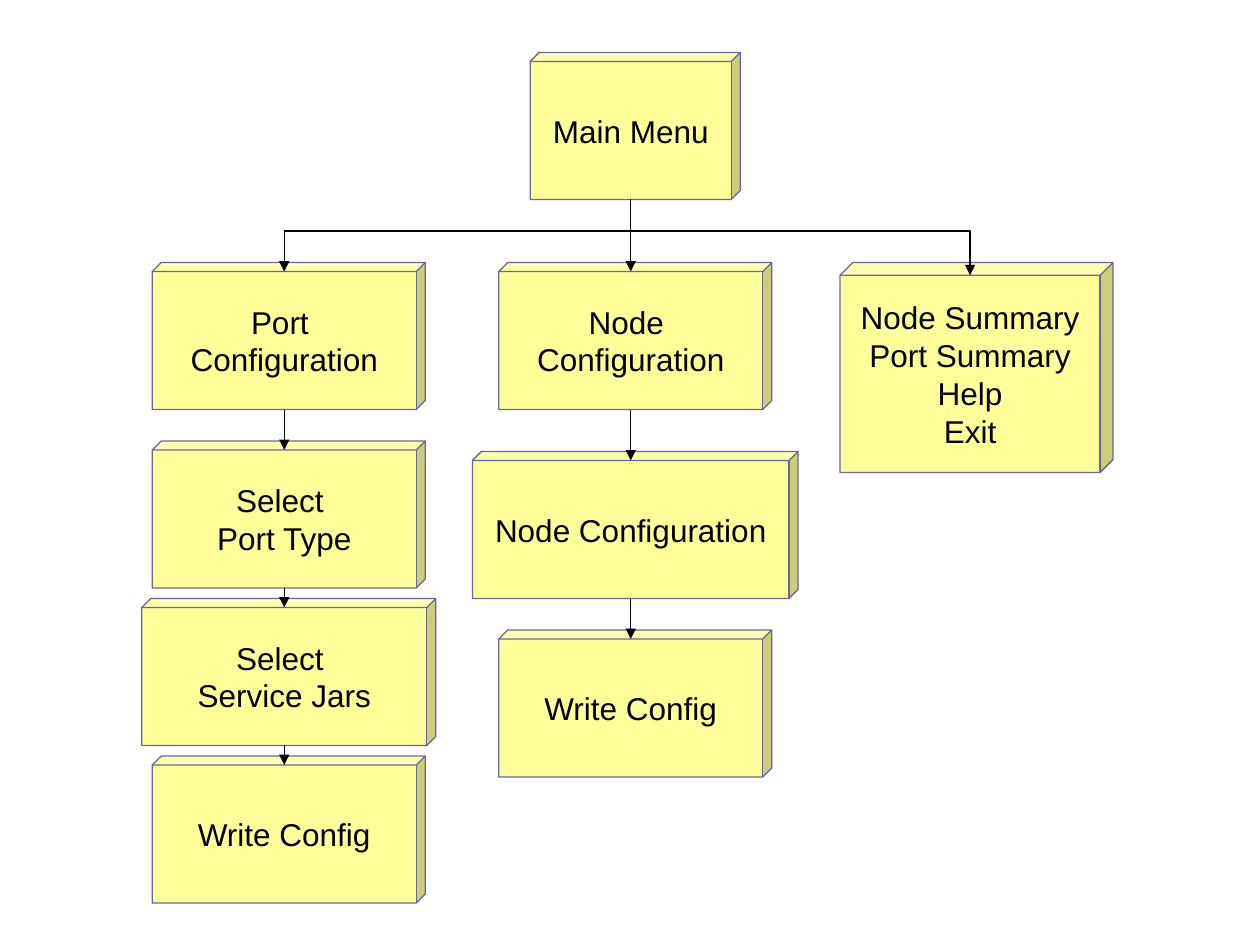
from dataclasses import dataclass

from lxml import etree
from pptx import Presentation
from pptx.dml.color import RGBColor
from pptx.enum import shapes, text
from pptx.oxml import ns
from pptx.util import Pt


@dataclass(frozen=True)
class Theme:
    face: RGBColor = RGBColor(0xFF, 0xFF, 0x99)
    edge: RGBColor = RGBColor(0x66, 0x66, 0x99)
    ink: RGBColor = RGBColor(0, 0, 0)
    font: str = "Arial"
    size: float = 18
    line: float = 0.75
    depth: float = 0.061  # cube depth as a share of its shorter side


THEME = Theme()
CUBE_FRONT_TOP, CUBE_BOTTOM = 1, 3  # connection sites of a cube
BOX_H = 84


def add_cube(slide, label, left, top, width, height=BOX_H):
    sp = slide.shapes.add_shape(shapes.MSO_SHAPE.CUBE, Pt(left), Pt(top), Pt(width), Pt(height))
    sp.adjustments[0] = THEME.depth
    sp.shadow.inherit = False
    sp.fill.solid()
    sp.fill.fore_color.rgb = THEME.face
    sp.line.color.rgb = THEME.edge
    sp.line.width = Pt(THEME.line)
    tf = sp.text_frame
    tf.word_wrap = False
    tf.vertical_anchor = text.MSO_ANCHOR.MIDDLE
    tf.text = label
    for p in tf.paragraphs:
        p.alignment = text.PP_ALIGN.CENTER
        for r in p.runs:
            r.font.name = THEME.font
            r.font.size = Pt(THEME.size)
            r.font.color.rgb = THEME.ink
    return sp


def cube_depth(sp):
    return int(THEME.depth * min(sp.width, sp.height))


def front_middle(sp):
    return sp.left + (sp.width - cube_depth(sp)) // 2


def add_arrow(slide, upper, lower):
    """Arrow from the bottom of one cube to the front top edge of another."""
    x1, y1 = front_middle(upper), upper.top + upper.height
    x2, y2 = front_middle(lower), lower.top + cube_depth(lower)
    dx, dy = x2 - x1, y2 - y1
    bent = abs(dx) > Pt(1)
    kind = shapes.MSO_CONNECTOR.ELBOW if bent else shapes.MSO_CONNECTOR.STRAIGHT
    c = slide.shapes.add_connector(kind, x1, y1, x2, y2)
    c.begin_connect(upper, CUBE_BOTTOM)
    c.end_connect(lower, CUBE_FRONT_TOP)

    # Joining moves the ends to the bounding box, so place them on the front face
    spPr = c._element.spPr
    xfrm = spPr.find(ns.qn("a:xfrm"))
    for name in ("flipH", "flipV"):
        xfrm.attrib.pop(name, None)
    if bent:
        # An elbow that leaves downwards is a quarter-turned one
        c.width, c.height = dy, abs(dx)
        c.left, c.top = (x1 + x2 - dy) // 2, (y1 + y2 - abs(dx)) // 2
        xfrm.set("rot", str((90 if dx < 0 else 270) * 60000))
        if dx > 0:
            xfrm.set("flipH", "1")
        # The bend lies halfway between the two bounding boxes
        bend = (lower.top - y1) / 2 / dy
        av = spPr.find(ns.qn("a:prstGeom")).get_or_add_avLst()
        etree.SubElement(av, ns.qn("a:gd"), name="adj1", fmla=f"val {round(bend * 100000)}")
    else:
        c.left, c.top, c.width, c.height = x1, y1, 0, dy

    c.line.color.rgb = THEME.ink
    c.line.width = Pt(THEME.line)
    ln = c.line._get_or_add_ln()
    etree.SubElement(ln, ns.qn("a:tailEnd"), type="triangle")
    etree.SubElement(spPr, ns.qn("a:effectLst"))


def add_column(slide, center, top, steps):
    """Stack of cubes around a centre; each step is (label, width, height, gap below)."""
    cubes = []
    for label, width, height, gap in steps:
        cubes.append(add_cube(slide, label, center - width / 2, top, width, height))
        top += height + gap
    for upper, lower in zip(cubes, cubes[1:]):
        add_arrow(slide, upper, lower)
    return cubes[0]


def menu_slide(prs):
    slide = prs.slides.add_slide(prs.slide_layouts[6])

    # Root of the menu
    main_menu = add_cube(slide, "Main Menu", 303, 30, 120)

    # Branches: centre and steps
    branches = [
        (165, [("Port \nConfiguration", 156, BOX_H, 18),
               ("Select \nPort Type", 156, BOX_H, 6),
               ("Select \nService Jars", 168, BOX_H, 6),
               ("Write Config", 156, BOX_H, 0)]),
        (363, [("Node \nConfiguration", 156, BOX_H, 24),
               ("Node Configuration", 186, BOX_H, 18),
               ("Write Config", 156, BOX_H, 0)]),
        (558, [("Node Summary\nPort Summary\nHelp\nExit", 156, 120, 0)]),
    ]
    for center, steps in branches:
        add_arrow(slide, main_menu, add_column(slide, center, 150, steps))


def main():
    prs = Presentation()
    prs.slide_width, prs.slide_height = Pt(720), Pt(540)
    menu_slide(prs)
    prs.save("out.pptx")


if __name__ == "__main__":
    main()
